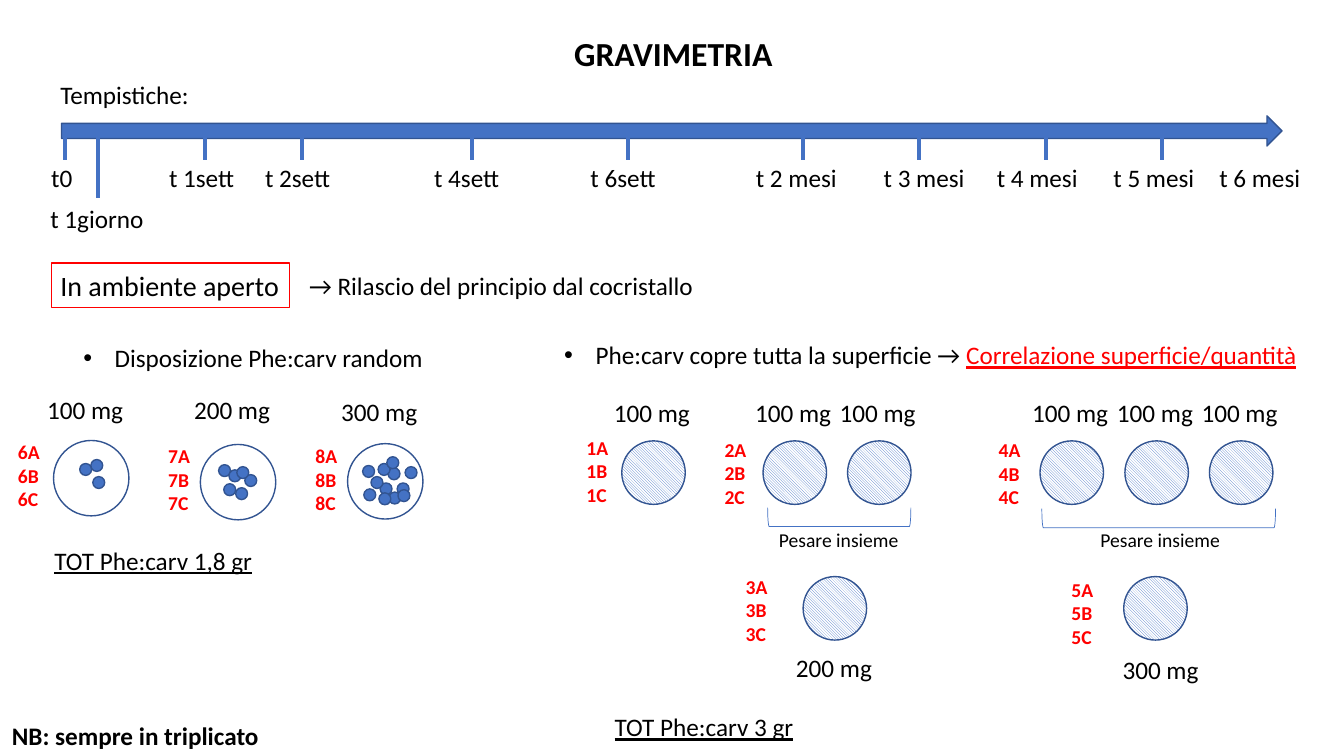
"""Build the slide on gravimetry timing and sample layout."""
from lxml.etree import SubElement as Sub
from pptx import Presentation
from pptx.dml.color import RGBColor as Rgb
from pptx.enum.dml import MSO_PATTERN as Pat
from pptx.enum.shapes import MSO_CONNECTOR as Conn, MSO_SHAPE as Form
from pptx.enum.text import MSO_AUTO_SIZE as Fit
from pptx.oxml.ns import qn
from pptx.util import Cm, Pt

BLACK = Rgb(0, 0, 0)
WHITE = Rgb(255, 255, 255)
RED = Rgb(255, 0, 0)
BLUE = Rgb(0x44, 0x72, 0xC4)
NAVY = Rgb(0x32, 0x54, 0x91)
FONT = "Calibri"

TITLE = ("GRAVIMETRIA", 14.22, 0.71, 5.56)
PLACE = ("In ambiente aperto", 1.27, 6.63, 6.07)
GOAL = ("→ Rilascio del principio dal cocristallo", 7.54, 6.68, 10.49)
NOTE = ("NB: sempre in triplicato", 0.05, 18.03, 6.78)
TOTALS = [("TOT Phe:carv 1,8 gr", 1.12, 13.61, 5.64),
          ("TOT Phe:carv 3 gr", 15.24, 17.81, 5.13)]
RANDOM = ("Disposizione Phe:carv random", 1.85, 8.51, 9.17)
COVER = ("Phe:carv copre tutta la superficie → ", 13.97, 8.43, 19.25)
LINK = "Correlazione superficie/quantità"

HEAD = ("Tempistiche:", 1.27, 1.88, 3.78)
TIMES = [("t0", 1.04, 1.04), ("t 1sett", 4.01, 2.18), ("t 2sett", 6.43, 2.18),
         ("t 4sett", 10.69, 2.18), ("t 6sett", 14.63, 2.18),
         ("t 2 mesi", 18.8, 2.59), ("t 3 mesi", 22.02, 2.59),
         ("t 4 mesi", 24.87, 2.59), ("t 5 mesi", 27.81, 2.59),
         ("t 6 mesi", 30.48, 2.59)]
TICKS = [1.63, 5.16, 7.62, 11.89, 15.82, 20.24, 23.16, 26.37, 29.29]
DAY = ("t 1giorno", 1.02, 5.0, 2.9)
DAY_X = 2.46

TRIPLES = [(0.2, 10.97, 6), (3.99, 11.07, 7), (7.7, 11.07, 8),
           (14.53, 10.85, 1), (18.01, 10.9, 2), (18.54, 14.35, 3),
           (24.92, 10.92, 4), (26.75, 14.43, 5)]
RINGS = [
    ("100 mg", 1.35, 11.1, 9.8, [(2.01, 11.68), (2.29, 11.58), (2.34, 12.01)]),
    ("200 mg", 5.05, 11.2, 9.8, [
        (5.51, 11.71), (5.77, 11.84), (6.17, 11.96), (5.94, 12.29),
        (5.97, 11.76), (5.64, 12.19)]),
    ("300 mg", 8.76, 11.18, 9.86, [
        (9.14, 11.73), (9.58, 12.17), (9.8, 12.4), (9.78, 11.79),
        (9.17, 12.32), (10.01, 12.17), (9.53, 11.68), (9.55, 12.42),
        (9.35, 12.01), (9.75, 11.51), (10.03, 12.34), (10.21, 11.76)])]
FULL = [("100 mg", x, 11.11, x - 0.45, 9.88)
        for x in (15.67, 19.23, 21.36, 26.21, 28.35, 30.48)]
FULL += [("200 mg", 20.24, 14.53, 19.81, 16.31),
         ("300 mg", 28.32, 14.53, 28.04, 16.36)]
JOINS = [(21.15, 13.03, 3.61, 19.38), (29.2, 13.06, 5.89, 27.48)]
JOIN = "Pesare insieme"
HEIGHTS = {14: 0.86, 18: 1.02, 20: 1.12, 24: 1.27}


def style(run, size, color, bold=False, under=False):
    font = run.font
    font.name, font.size, font.bold = FONT, Pt(size), bold
    font.underline = under
    font.color.rgb = color


def write(home, text, x, y, wide, size=18, color=BLACK, bold=False, under=False, high=None):
    box = home.add_textbox(Cm(x), Cm(y), Cm(wide), Cm(high or HEIGHTS[size]))
    frame = box.text_frame
    frame.text = text
    frame.word_wrap = False
    frame.auto_size = Fit.SHAPE_TO_FIT_TEXT
    for para in frame.paragraphs:
        for run in para.runs:
            style(run, size, color, bold, under)
    return frame.paragraphs[0]


def bullet(para):
    props = para._p.get_or_add_pPr()
    props.set("marL", str(Cm(0.79)))
    props.set("indent", str(-Cm(0.79)))
    Sub(props, qn("a:buFont"), typeface="Arial")
    Sub(props, qn("a:buChar"), char="•")


def draw(home, form, x, y, wide, high, fill=None, line=NAVY, width=1):
    item = home.add_shape(form, Cm(x), Cm(y), Cm(wide), Cm(high))
    item.shadow.inherit = False
    if fill:
        item.fill.solid()
        item.fill.fore_color.rgb = fill
    else:
        item.fill.background()
    item.line.color.rgb = line
    item.line.width = Pt(width)
    return item


def hatch(item):
    fill = item.fill
    fill.patterned()
    fill.pattern = Pat.DARK_DOWNWARD_DIAGONAL
    fill.fore_color.rgb = BLUE
    fill.back_color.rgb = WHITE


def tick(home, x, top, end):
    line = home.add_connector(Conn.STRAIGHT, Cm(x), Cm(top), Cm(x), Cm(end))
    line.line.color.rgb = BLUE
    line.line.width = Pt(3)
    Sub(line._element.spPr, qn("a:effectLst"))


deck = Presentation()
deck.slide_width, deck.slide_height = Cm(33.87), Cm(19.05)
page = deck.slides.add_slide(deck.slide_layouts[6]).shapes

write(page, *TITLE, size=24, bold=True)
write(page, *PLACE, size=20)
draw(page, Form.RECTANGLE, 1.3, 6.63, 5.99, 1.12, line=RED)
write(page, *GOAL)
write(page, *NOTE, bold=True)
for total in TOTALS:
    write(page, *total, under=True)

bullet(write(page, *RANDOM))
para = write(page, *COVER)
bullet(para)
link = para.add_run()
link.text = LINK
style(link, 18, RED, under=True)

axis = page.add_group_shape().shapes
write(axis, *HEAD)
draw(axis, Form.RIGHT_ARROW, 1.55, 2.92, 30.76, 0.76, BLUE)
for text, x, wide in TIMES:
    write(axis, text, x, 3.96, wide)
write(axis, *DAY)
tick(axis, DAY_X, 3.3, 5.0)
for x in TICKS:
    tick(axis, x, 3.4, 4.03)

for text, x, y, top, dots in RINGS:
    draw(page, Form.OVAL, x, y, 1.9, 1.9)
    write(page, text, x - 0.41, top, 2.44)
    group = page.add_group_shape().shapes
    for left, high in dots:
        draw(group, Form.OVAL, left, high, 0.3, 0.3, BLUE)

for text, x, y, left, top in FULL:
    hatch(draw(page, Form.OVAL, x, y, 1.6, 1.6))
    write(page, text, left, top, 2.44)

for x, y, span, left in JOINS:
    brace = draw(page, Form.RIGHT_BRACKET, x - 0.24, y - span / 2, 0.48, span,
                 line=BLUE, width=0.5)
    brace.rotation = 90
    write(page, JOIN, left, 13.18, 3.56, size=14)

for x, y, num in TRIPLES:
    names = "\n".join(f"{num}{mark}" for mark in "ABC")
    write(page, names, x, y, 1.07, 14, RED, bold=True, high=2.06)

deck.save("out.pptx")
